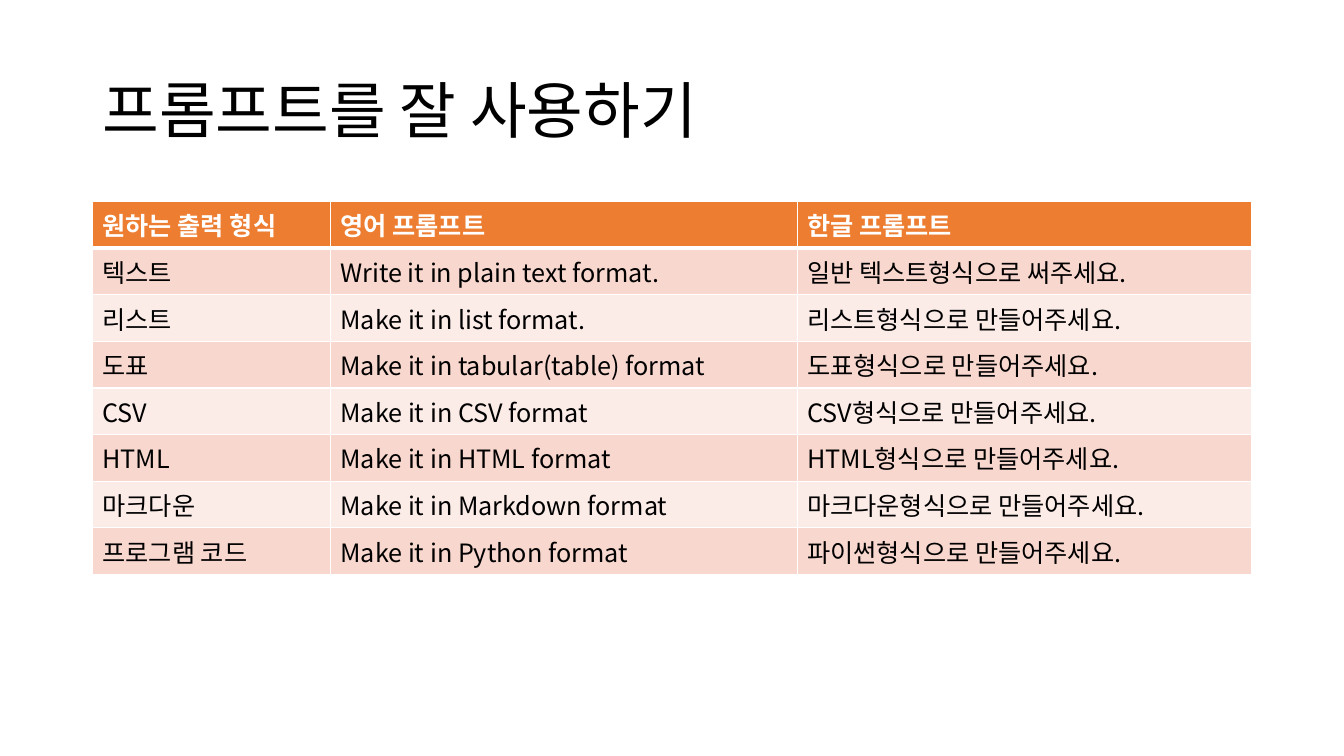
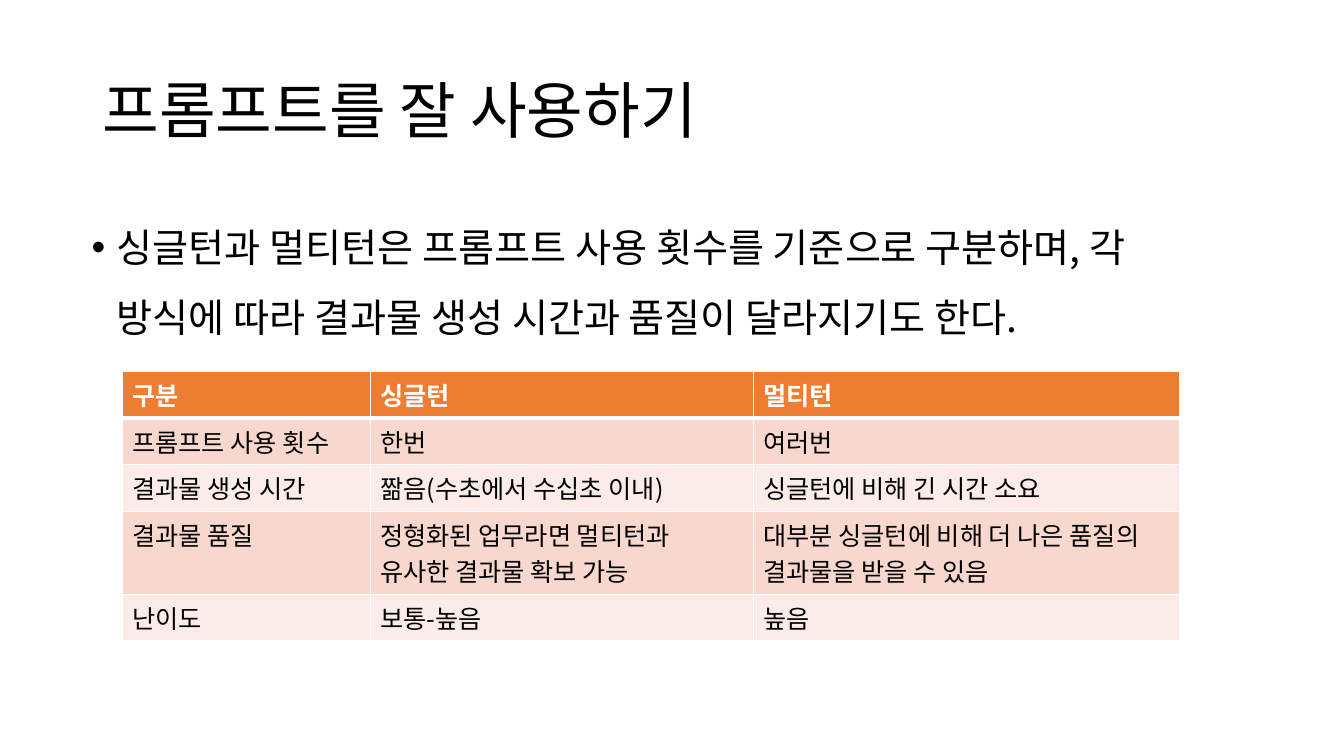
from lxml import etree
from pptx import Presentation
from pptx import util as u
from pptx.dml.color import RGBColor
from pptx.enum import text
from pptx.oxml.ns import qn

Pt = u.Pt
COLORS = {"text": "000000", "white": "FFFFFF", "header": "ED7D31",
          "band_dark": "F8D7CE", "band_light": "FCECE8"}
FONT = "Noto Sans CJK KR"
TITLE = "프롬프트를 잘 사용하기"
TITLE_ONLY, TITLE_AND_BODY = 5, 1


class Deck:
    """Holds the shared style and the current slide."""

    def __init__(self):
        self.prs = Presentation()
        self.prs.slide_width, self.prs.slide_height = Pt(960), Pt(540)
        self.s = None

    def slide(self, layout):
        self.s = self.prs.slides.add_slide(self.prs.slide_layouts[layout])
        self.title(TITLE)

    def run(self, p, words, size, color="text", bold=False):
        r = p.add_run()
        r.text = words
        r.font.size, r.font.bold, r.font.name = Pt(size), bold, FONT
        r.font.color.rgb = RGBColor.from_string(COLORS[color])
        # East Asian typeface, placed right after the Latin one
        ea = etree.Element(qn("a:ea"), typeface=FONT)
        r.font._element.find(qn("a:latin")).addnext(ea)

    def placeholder(self, sp, box, anchor, spacing):
        sp.left, sp.top, sp.width, sp.height = map(Pt, box)
        tf = sp.text_frame
        tf.word_wrap, tf.auto_size = True, text.MSO_AUTO_SIZE.NONE
        tf.vertical_anchor = anchor
        p = tf.paragraphs[0]
        p.alignment = text.PP_ALIGN.LEFT
        p.line_spacing, p.space_before = spacing, Pt(0)
        return p

    def title(self, words):
        p = self.placeholder(self.s.shapes.title, (66, 28.75, 828, 104.4),
                             text.MSO_ANCHOR.MIDDLE, 0.9)
        self.run(p, words, 44)

    def bullet(self, words, box):
        p = self.placeholder(self.s.placeholders[1], box,
                             text.MSO_ANCHOR.TOP, 1.5)
        pPr = p._p.get_or_add_pPr()
        pPr.set("marL", str(Pt(18)))
        pPr.set("indent", str(Pt(-18)))
        etree.SubElement(pPr, qn("a:buChar"), char="•")
        self.run(p, words, 28)

    def borders(self, cell, top, bottom):
        tcPr = cell._tc.get_or_add_tcPr()
        for side, width in (("L", 1), ("R", 1), ("T", top), ("B", bottom)):
            ln = etree.SubElement(tcPr, qn(f"a:ln{side}"), w=str(Pt(width)))
            fill = etree.SubElement(ln, qn("a:solidFill"))
            etree.SubElement(fill, qn("a:srgbClr"), val=COLORS["white"])

    def table(self, left, top, widths, row_height, rows):
        frame = self.s.shapes.add_table(
            len(rows), len(widths), Pt(left), Pt(top),
            Pt(sum(widths)), Pt(row_height * len(rows)))
        tbl = frame.table
        tbl.horz_banding = False
        for col, width in zip(tbl.columns, widths):
            col.width = Pt(width)
        for i, row in enumerate(rows):
            header = i == 0
            band = "header" if header else "band_dark" if i % 2 else "band_light"
            for j, words in enumerate(row):
                cell = tbl.cell(i, j)
                self.borders(cell, 3 if i == 1 else 1, 3 if header else 1)
                cell.fill.solid()
                cell.fill.fore_color.rgb = RGBColor.from_string(COLORS[band])
                self.run(cell.text_frame.paragraphs[0], words, 18,
                         "white" if header else "text", header)


def main():
    deck = Deck()

    # Prompts for each output format
    deck.slide(TITLE_ONLY)
    deck.table(66, 144, (170, 333.4, 324.6), 29.2, [
        ("원하는 출력 형식", "영어 프롬프트", "한글 프롬프트"),
        ("텍스트", "Write it in plain text format.", "일반 텍스트형식으로 써주세요."),
        ("리스트", "Make it in list format.", "리스트형식으로 만들어주세요."),
        ("도표", "Make it in tabular(table) format", "도표형식으로 만들어주세요."),
        ("CSV", "Make it in CSV format", "CSV형식으로 만들어주세요."),
        ("HTML", "Make it in HTML format", "HTML형식으로 만들어주세요."),
        ("마크다운", "Make it in Markdown format", "마크다운형식으로 만들어주세요."),
        ("프로그램 코드", "Make it in Python format", "파이썬형식으로 만들어주세요."),
    ])

    # Single-turn and multi-turn compared
    deck.slide(TITLE_AND_BODY)
    deck.bullet("싱글턴과 멀티턴은 프롬프트 사용 횟수를 기준으로 구분하며, "
                "각 방식에 따라 결과물 생성 시간과 품질이 달라지기도 한다.",
                (58.3, 139, 828, 342.7))
    deck.table(87.4, 265.3, (177, 273.6, 304.6), 33.2, [
        ("구분", "싱글턴", "멀티턴"),
        ("프롬프트 사용 횟수", "한번", "여러번"),
        ("결과물 생성 시간", "짦음(수초에서 수십초 이내)", "싱글턴에 비해 긴 시간 소요"),
        ("결과물 품질", "정형화된 업무라면 멀티턴과 유사한 결과물 확보 가능",
         "대부분 싱글턴에 비해 더 나은 품질의 결과물을 받을 수 있음"),
        ("난이도", "보통-높음", "높음"),
    ])

    deck.prs.save("out.pptx")


if __name__ == "__main__":
    main()
